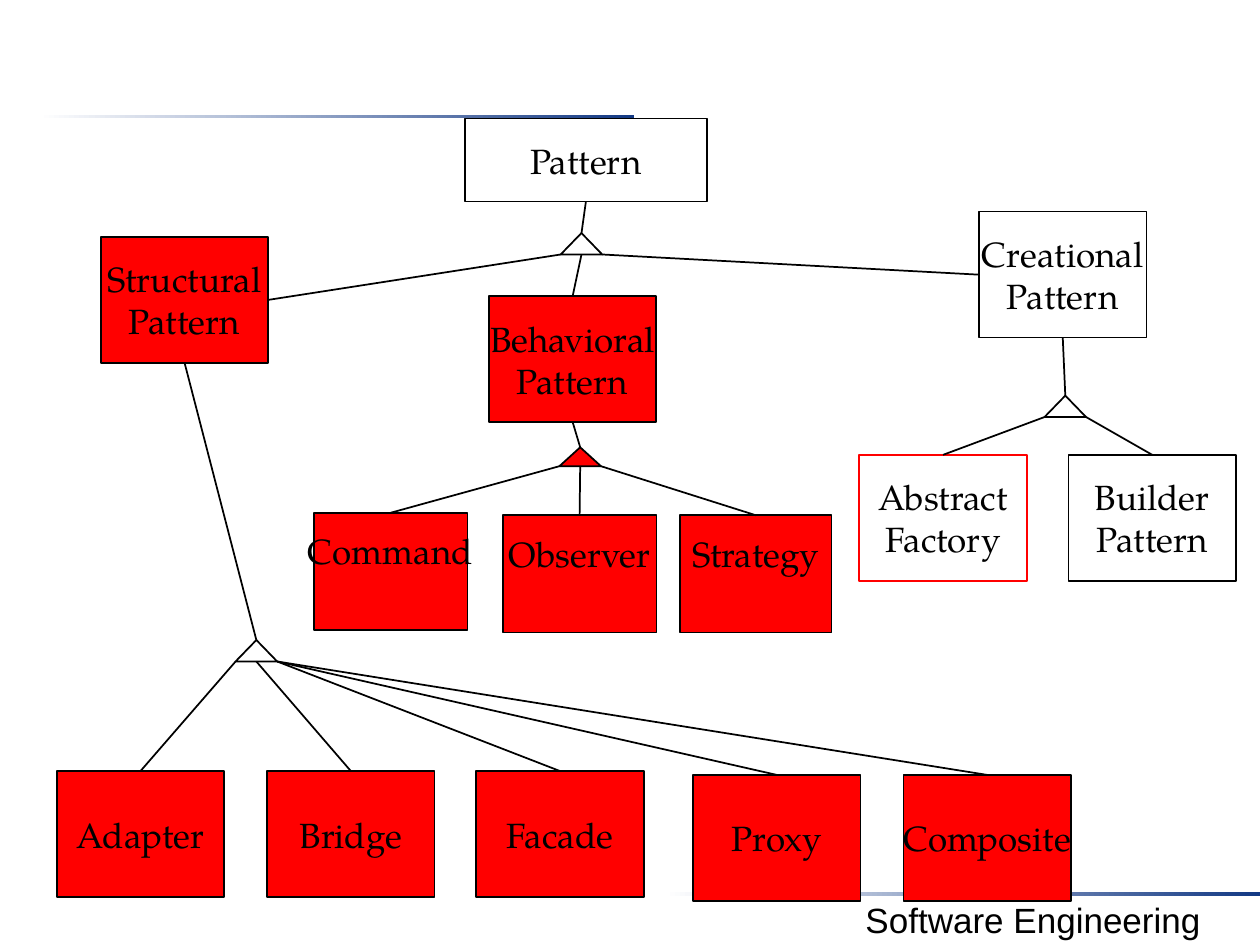
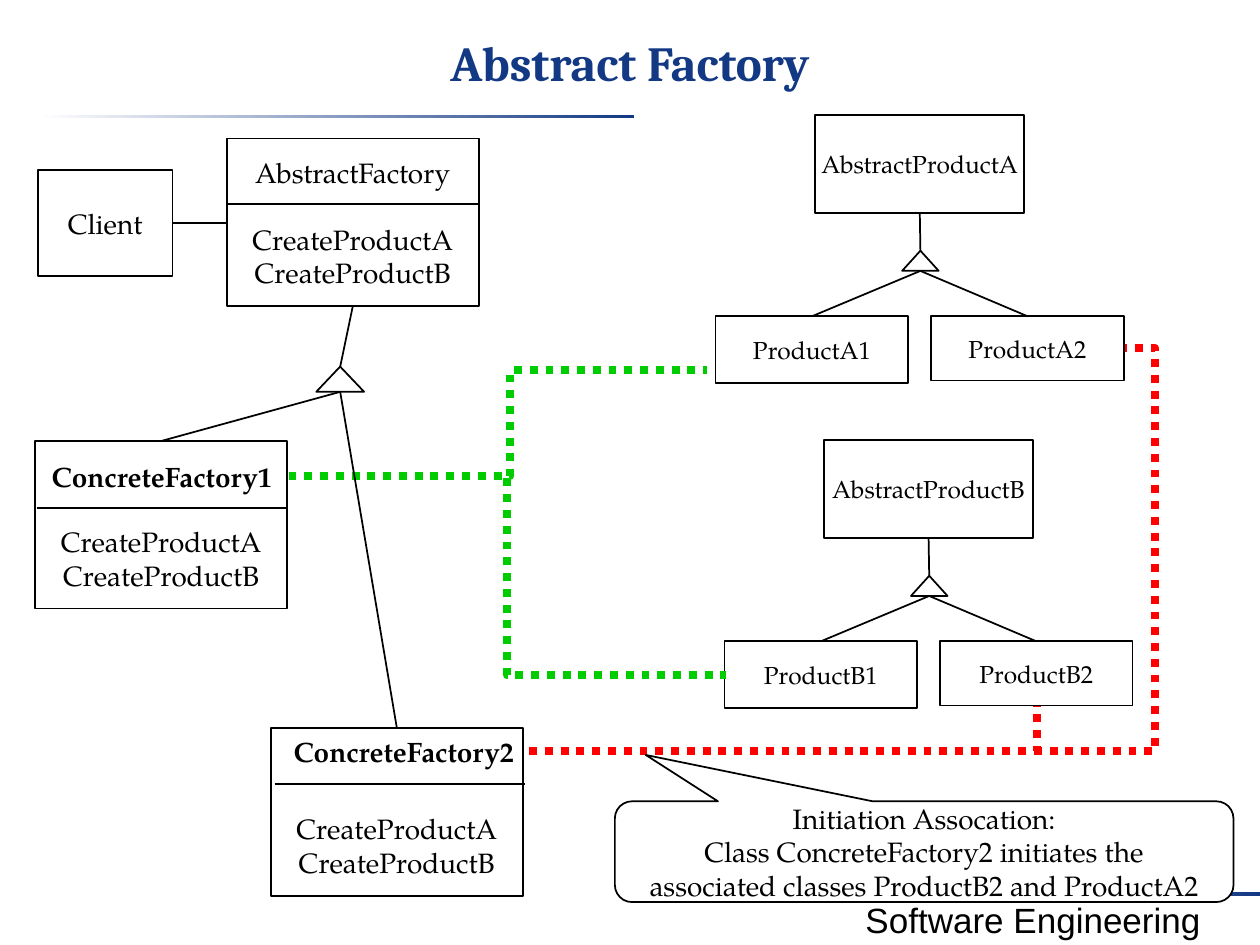
from pptx import Presentation
from pptx import util as u
from pptx.dml.color import RGBColor
from pptx.enum import dml, shapes, text
from pptx.oxml.ns import qn
from lxml import etree

Inches, Pt = u.Inches, u.Pt
Kind = shapes.MSO_SHAPE

COLOURS = {
    "paper": "FFFFFF",
    "ink": "000000",
    "navy": "133984",
    "red": "FF0000",
    "green": "00CC00",
}
FONTS = {
    "title": {"name": "Cambria", "size": Pt(28), "bold": True},
    "footer": {"name": "Arial", "size": Pt(20)},
    "tree": {"name": "TeX Gyre Pagella", "size": Pt(20)},
    "class": {"name": "TeX Gyre Pagella", "size": Pt(16)},
    "product": {"name": "TeX Gyre Pagella", "size": Pt(14)},
    "concrete": {"name": "TeX Gyre Pagella", "size": Pt(16), "bold": True},
}
# Connection sites as fractions of width and height
SITES = {
    "top": (0.5, 0), "bottom": (0.5, 1), "left": (0, 0.5), "right": (1, 0.5),
    "bottom left": (0, 1), "bottom right": (1, 1),
}
FACTORY_METHODS = ["CreateProductA", "CreateProductB"]


def colour(name):
    return RGBColor.from_string(COLOURS[name])


def set_values(target, values):
    for name, value in values.items():
        setattr(target, name, value)


def site(shape, name):
    across, down = SITES[name]
    return (int(shape.left + across * shape.width),
            int(shape.top + down * shape.height))


class Deck:
    """Holds the shared style and the current slide."""

    def __init__(self):
        self.prs = Presentation()
        self.prs.slide_width, self.prs.slide_height = Inches(10), Inches(7.5)
        self.slide = None

    def new_slide(self, title=None):
        layout = self.prs.slide_layouts[5 if title else 6]
        self.slide = self.prs.slides.add_slide(layout)
        for left, top in [(0.31, 0.91), (5.28, 7.08)]:
            self.band((left, top, 4.72, 0.03))
        self.label((6.4, 7.08, 3.6, 0.44), "Software Engineering", "footer")
        if title:
            heading = self.slide.shapes.title
            set_values(heading, {"left": 0, "top": Inches(0.2),
                                 "width": Inches(10), "height": Inches(0.75)})
            self.set_lines(heading, [title], "title", "navy",
                           margin_top=Inches(0.06),
                           vertical_anchor=text.MSO_ANCHOR.TOP)

    def set_lines(self, shape, lines, font, ink="ink", first_gap=0, **frame_values):
        frame = shape.text_frame
        set_values(frame, {"word_wrap": True, **frame_values})
        for number, line in enumerate(lines):
            paragraph = frame.add_paragraph() if number else frame.paragraphs[0]
            paragraph.alignment = text.PP_ALIGN.CENTER
            if first_gap and number == 0:
                paragraph.space_after = Pt(first_gap)
            run = paragraph.add_run()
            run.text = line
            set_values(run.font, FONTS[font])
            run.font.color.rgb = colour(ink)

    def shape(self, kind, at, fill="paper", line="ink"):
        shape = self.slide.shapes.add_shape(kind, *map(Inches, at))
        shape.shadow.inherit = False
        shape.fill.solid()
        shape.fill.fore_color.rgb = colour(fill)
        shape.line.color.rgb = colour(line)
        shape.line.width = Pt(1)
        return shape

    def band(self, at):
        band = self.shape(Kind.RECTANGLE, at)
        band.line.fill.background()
        band.fill.gradient()
        band.fill.gradient_angle = 0
        for stop, name in zip(band.fill.gradient_stops, ("paper", "navy")):
            stop.color.rgb = colour(name)

    def label(self, at, words, font):
        label = self.slide.shapes.add_textbox(*map(Inches, at))
        self.set_lines(label, [words], font)

    def box(self, at, lines, font="tree", fill="paper", line="ink",
            kind=Kind.RECTANGLE, **text_values):
        box = self.shape(kind, at, fill, line)
        self.set_lines(box, lines, font, word_wrap=False,
                       vertical_anchor=text.MSO_ANCHOR.MIDDLE, **text_values)
        return box

    def connector(self, start, end, ink="ink", width=1,
                  kind=shapes.MSO_CONNECTOR.STRAIGHT):
        connector = self.slide.shapes.add_connector(kind, *start, *end)
        connector.line.color.rgb = colour(ink)
        connector.line.width = Pt(width)
        etree.SubElement(connector._element.spPr, qn("a:effectLst"))
        return connector

    def line(self, start, end):
        self.connector(map(Inches, start), map(Inches, end))

    def dotted_elbow(self, start, end, ink, bend=None):
        """A bend is the share of the way to the turn; None means one corner."""
        elbow = self.connector(map(Inches, start), map(Inches, end), ink, 4.5,
                               shapes.MSO_CONNECTOR.ELBOW)
        elbow.line.dash_style = dml.MSO_LINE.ROUND_DOT
        geometry = elbow._element.spPr.find(qn("a:prstGeom"))
        if bend is None:
            geometry.set("prst", "bentConnector2")
        else:
            etree.SubElement(geometry.find(qn("a:avLst")), qn("a:gd"),
                             name="adj1", fmla=f"val {round(bend * 100000)}")

    def inheritance(self, parent, at, children, fill="paper"):
        """Children are (box, site on the box, site on the triangle)."""
        triangle = self.shape(Kind.ISOSCELES_TRIANGLE, at, fill)
        self.connector(site(parent, "bottom"), site(triangle, "top"))
        for child, child_site, base_site in children:
            self.connector(site(triangle, base_site), site(child, child_site))


def pattern_tree(deck):
    deck.new_slide()

    # Root and the three families
    root = deck.box((3.69, 0.94, 1.92, 0.66), ["Pattern"])
    structural, behavioral, creational = [
        deck.box((left, top, 1.33, 1), [family, "Pattern"], fill=fill)
        for family, left, top, fill in [
            ("Structural", 0.8, 1.88, "red"),
            ("Behavioral", 3.88, 2.35, "red"),
            ("Creational", 7.77, 1.68, "paper")]]
    deck.inheritance(root, (4.45, 1.85, 0.33, 0.17), [
        (structural, "right", "bottom left"),
        (behavioral, "top", "bottom"),
        (creational, "left", "bottom right")])

    # Structural patterns
    bases = ["bottom left", "bottom"] + ["bottom right"] * 3
    leaves = [
        deck.box((left, top, 1.33, 1), [name], fill="red")
        for name, left, top in [
            ("Adapter", 0.45, 6.12), ("Bridge", 2.12, 6.12),
            ("Facade", 3.78, 6.12), ("Proxy", 5.5, 6.15),
            ("Composite", 7.17, 6.15)]]
    deck.inheritance(structural, (1.87, 5.08, 0.33, 0.17),
                     [(leaf, "top", base) for leaf, base in zip(leaves, bases)])

    # Behavioral patterns, names raised by one line
    bases = ["bottom left", "bottom", "bottom right"]
    leaves = [
        deck.box((left, top, width, 0.93), [name], fill="red",
                 margin_bottom=Inches(0.38))
        for name, left, top, width in [
            ("Command", 2.49, 4.07, 1.22), ("Observer", 3.99, 4.09, 1.22),
            ("Strategy", 5.4, 4.09, 1.2)]]
    deck.inheritance(behavioral, (4.44, 3.55, 0.33, 0.15),
                     [(leaf, "top", base) for leaf, base in zip(leaves, bases)],
                     fill="red")

    # Creational patterns
    factory = deck.box((6.82, 3.61, 1.33, 1), ["Abstract", "Factory"], line="red")
    builder = deck.box((8.48, 3.61, 1.33, 1), ["Builder", "Pattern"])
    deck.inheritance(creational, (8.29, 3.14, 0.33, 0.17), [
        (factory, "top", "bottom left"), (builder, "top", "bottom right")])


def product_family(deck, letter, left, top):
    base = deck.box((left, top, 1.66, 0.78), [f"AbstractProduct{letter}"], "product")
    products = [
        deck.box((left + shift, top + 1.6, 1.53, height),
                 [f"Product{letter}{number}"], "product")
        for number, shift, height in [(1, -0.79, 0.53), (2, 0.92, 0.51)]]
    deck.inheritance(base, (left + 0.69, top + 1.08, 0.29, 0.16),
                     [(product, "top", "bottom") for product in products])


def abstract_factory(deck):
    deck.new_slide("Abstract Factory")

    # Products
    product_family(deck, "A", 6.47, 0.91)
    product_family(deck, "B", 6.54, 3.49)

    # Associations of the two concrete factories
    deck.dotted_elbow((2.29, 3.78), (5.61, 2.94), "green", 0.53)
    deck.dotted_elbow((2.29, 3.78), (5.76, 5.36), "green", 0.5)
    deck.dotted_elbow((4.2, 5.96), (8.23, 5.6), "red")
    deck.dotted_elbow((4.2, 5.96), (8.93, 2.76), "red", 1.05)

    # Factories
    abstract = deck.box((1.8, 1.1, 2, 1.33), ["AbstractFactory"] + FACTORY_METHODS,
                        "class", first_gap=19)
    concrete = [
        deck.box((left, top, 2, 1.33), FACTORY_METHODS, "class",
                 margin_top=Inches(0.58))
        for left, top in [(0.28, 3.5), (2.15, 5.78)]]
    for number, left, top in [(1, 0.3, 3.6), (2, 2.22, 5.78)]:
        deck.label((left, top, 1.97, 0.37), f"ConcreteFactory{number}", "concrete")
    for left, right, y in [(1.8, 3.8, 1.62), (0.29, 2.27, 4.03), (2.18, 4.17, 6.22)]:
        deck.line((left, y), (right, y))
    deck.inheritance(abstract, (2.51, 2.91, 0.38, 0.2),
                     [(factory, "top", "bottom") for factory in concrete])

    # Client
    client = deck.box((0.3, 1.35, 1.07, 0.84), ["Client"], "class")
    deck.connector(site(client, "right"), (Inches(1.8), Inches(1.77)))

    # Explanation
    note = deck.box((4.88, 6.36, 4.91, 0.8), [
        "Initiation Assocation:",
        "Class ConcreteFactory2 initiates the",
        "associated classes ProductB2 and ProductA2",
    ], "class", kind=Kind.ROUNDED_RECTANGULAR_CALLOUT)
    for index, value in enumerate((-0.45, -0.96, 0.17)):
        note.adjustments[index] = value


def main():
    deck = Deck()
    pattern_tree(deck)
    abstract_factory(deck)
    deck.prs.save("out.pptx")


if __name__ == "__main__":
    main()
